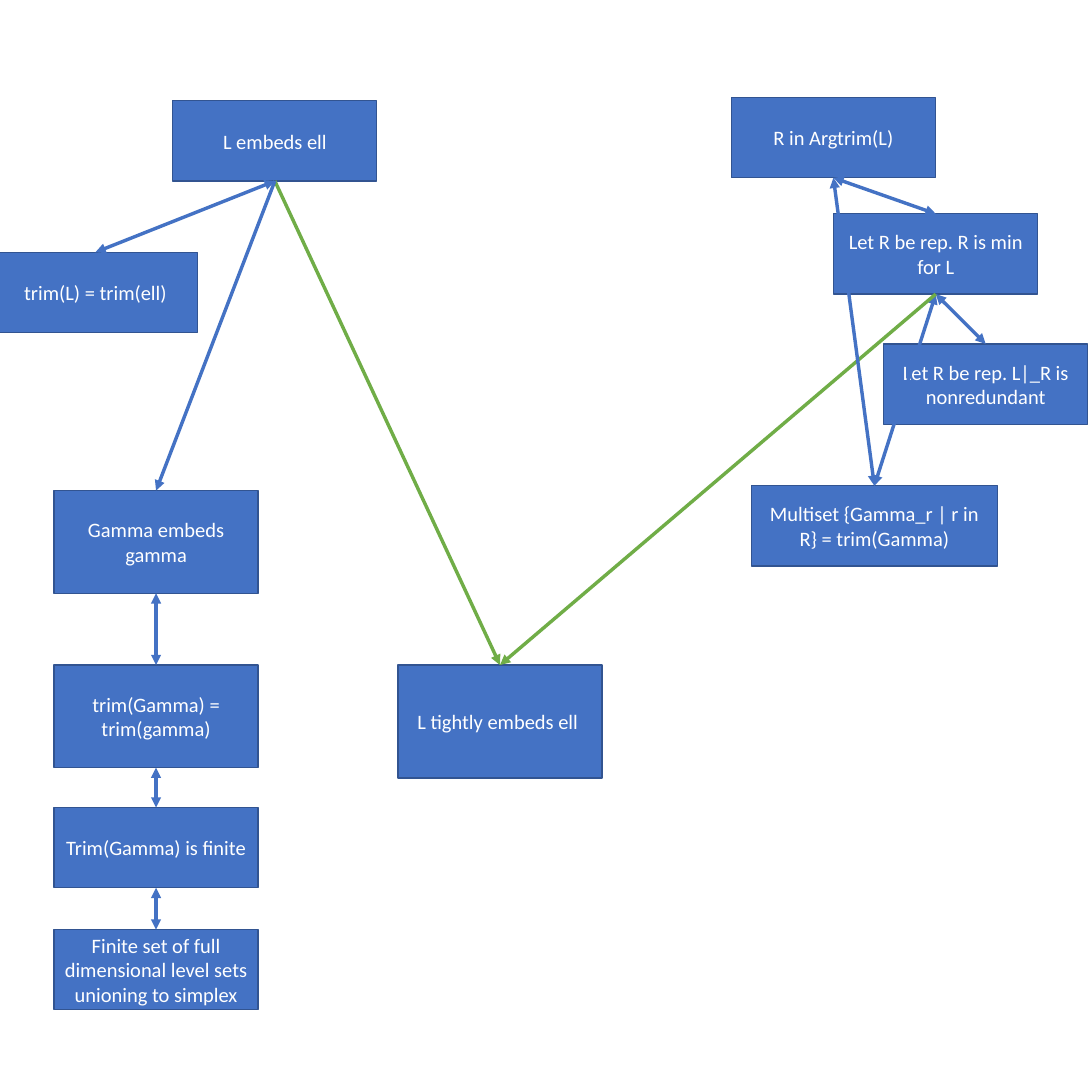
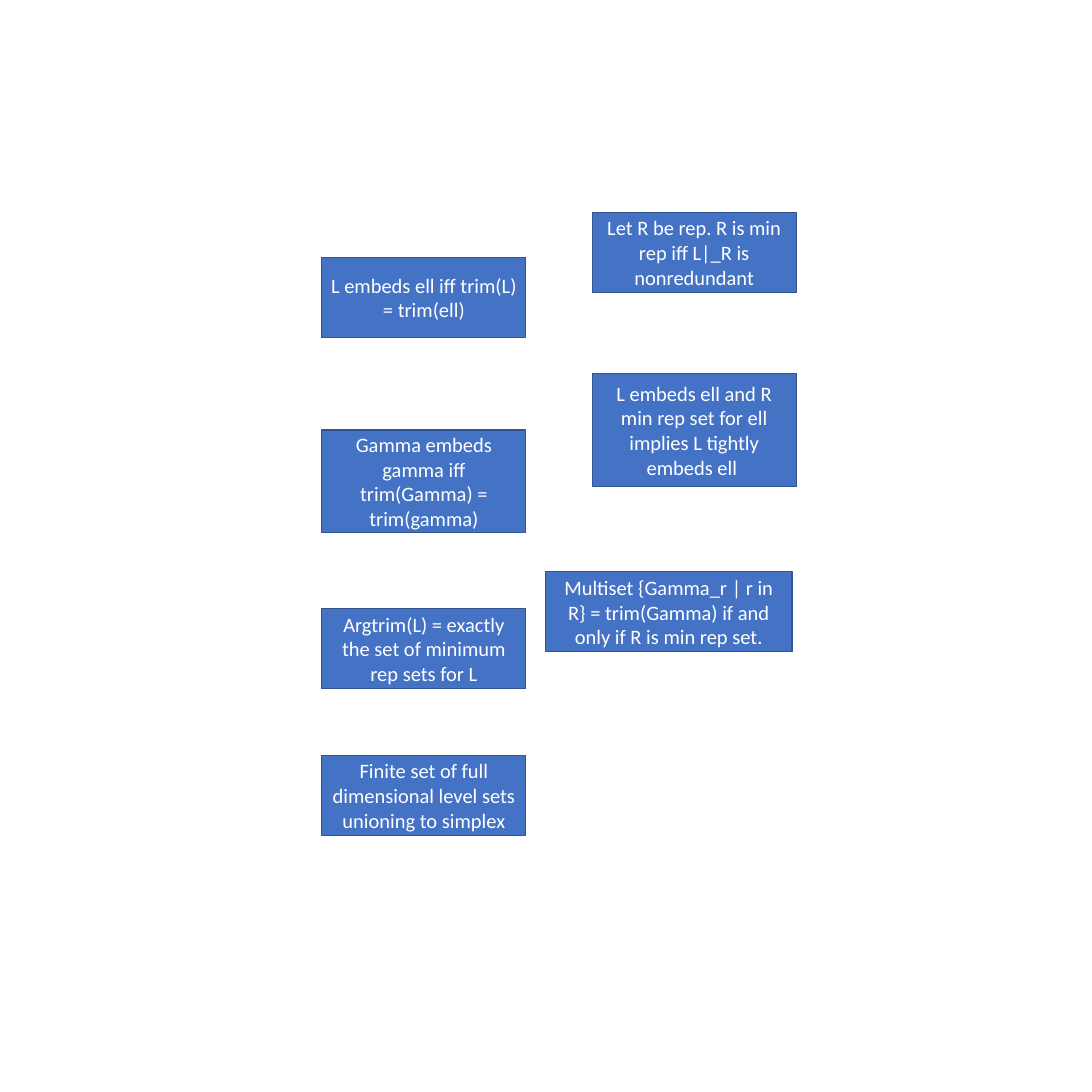
from pptx import Presentation
from pptx.dml.color import RGBColor
from pptx.enum.shapes import MSO_CONNECTOR, MSO_SHAPE
from pptx.enum.text import MSO_ANCHOR, PP_ALIGN
from pptx.oxml.ns import qn
from pptx.util import Inches, Pt
from lxml.etree import SubElement

# Shared style
SIDE = Inches(13.33)
HUES = {"box": "4472C4", "edge": "325491", "text": "FFFFFF", "goal": "70AD47"}
FONT = "Calibri"

# Box sizes, in percent of the slide's side
WIDE, BROAD = 18.68, 22.58
LOW, MID, TALL = 7.35, 9.4, 10.35

# Connection sites of a rectangle
TOP, BASE = 0, 2


def hue(name):
    return RGBColor.from_string(HUES[name])


def share(part):
    return round(SIDE * part / 100)


class Deck:
    def __init__(self):
        self.file = Presentation()
        self.file.slide_width = self.file.slide_height = SIDE
        self.page = None

    def start(self):
        self.page = self.file.slides.add_slide(self.file.slide_layouts[6])

    def box(self, text, left, top, high=LOW, wide=WIDE):
        rect = self.page.shapes.add_shape(
            MSO_SHAPE.RECTANGLE, *map(share, (left, top, wide, high)))
        rect.shadow.inherit = False
        rect.fill.solid()
        rect.fill.fore_color.rgb = hue("box")
        rect.line.color.rgb = hue("edge")
        rect.line.width = Pt(1)
        frame = rect.text_frame
        frame.word_wrap = True
        frame.vertical_anchor = MSO_ANCHOR.MIDDLE
        frame.text = text
        para = frame.paragraphs[0]
        para.alignment = PP_ALIGN.CENTER
        para.font.name = FONT
        para.font.size = Pt(18)
        para.font.color.rgb = hue("text")
        return rect

    def arrow(self, first, exit, last, entry, both=True, tint="box"):
        link = self.page.shapes.add_connector(MSO_CONNECTOR.STRAIGHT, 0, 0, 0, 0)
        link.begin_connect(first, exit)
        link.end_connect(last, entry)
        link.line.color.rgb = hue(tint)
        link.line.width = Pt(3)
        line = link.line._get_or_add_ln()
        for end in ("a:headEnd", "a:tailEnd") if both else ("a:tailEnd",):
            SubElement(line, qn(end), type="triangle")
        SubElement(link._element.spPr, qn("a:effectLst"))


deck = Deck()

# Slide 1: how the claims depend on each other
deck.start()
LEFT = 4.95
embed = deck.box("L embeds ell", 15.83, 9.23)
gamma = deck.box("Gamma embeds gamma", LEFT, 44.93, MID)
arg = deck.box("R in Argtrim(L)", 66.98, 8.93)
union = deck.box("Finite set of full dimensional level sets unioning to simplex",
                 LEFT, 85.13)
tight = deck.box("L tightly embeds ell ", 36.45, 60.9, TALL)
least = deck.box("Let R be rep. R is min for L", 76.35, 19.58)
multi = deck.box("Multiset {Gamma_r | r in R} = trim(Gamma)", 68.78, 44.48, wide=BROAD)
trim = deck.box("trim(L) = trim(ell)", -0.6, 23.1)
equal = deck.box("trim(Gamma) = trim(gamma)", LEFT, 60.9, MID)
lean = deck.box("Let R be rep. L|_R is nonredundant", 80.93, 31.5)
finite = deck.box("Trim(Gamma) is finite", LEFT, 73.95)

# Equivalences and the two premises of the goal
deck.arrow(embed, BASE, trim, TOP)
deck.arrow(equal, TOP, gamma, BASE)
deck.arrow(least, BASE, lean, TOP)
deck.arrow(least, BASE, multi, TOP)
for cause in (embed, least):
    deck.arrow(cause, BASE, tight, TOP, both=False, tint="goal")
deck.arrow(finite, BASE, union, TOP)
deck.arrow(least, TOP, arg, BASE)
deck.arrow(embed, BASE, gamma, TOP, both=False)
deck.arrow(arg, BASE, multi, TOP)
deck.arrow(finite, TOP, equal, BASE)

# Slide 2: the claims in two columns
deck.start()
LEFT, RIGHT = 29.48, 54.23
for text, top, high in (
        ("L embeds ell iff trim(L) = trim(ell)", 23.55, LOW),
        ("Gamma embeds gamma iff trim(Gamma) = trim(gamma)", 39.38, MID),
        ("Argtrim(L) = exactly the set of minimum rep sets for L", 55.73, LOW),
        ("Finite set of full dimensional level sets unioning to simplex", 69.15, LOW)):
    deck.box(text, LEFT, top, high)
deck.box("L embeds ell and R min rep set for ell implies L tightly embeds ell ",
         RIGHT, 34.2, TALL)
deck.box("Let R be rep. R is min rep iff L|_R is nonredundant", RIGHT, 19.43)
deck.box("Multiset {Gamma_r | r in R} = trim(Gamma) if and only if R is min rep set.",
         49.95, 52.35, wide=BROAD)

deck.file.save("out.pptx")
